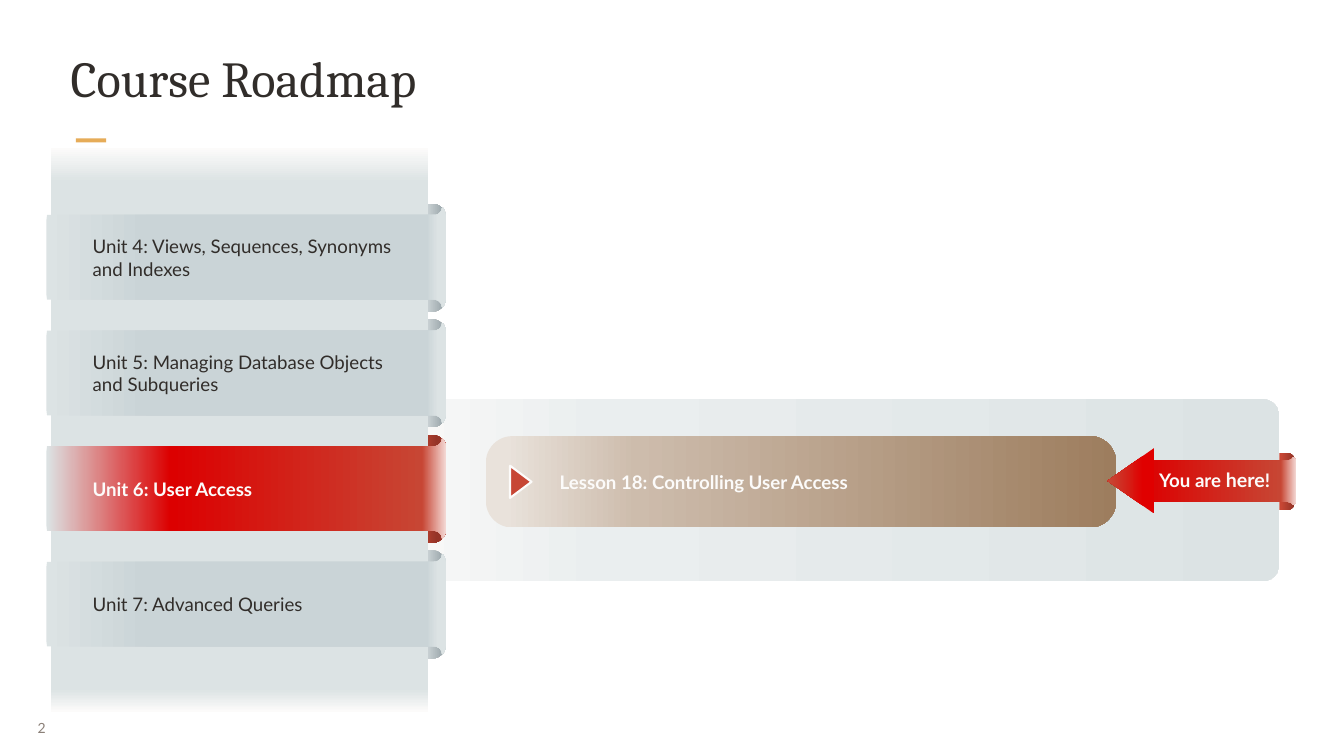
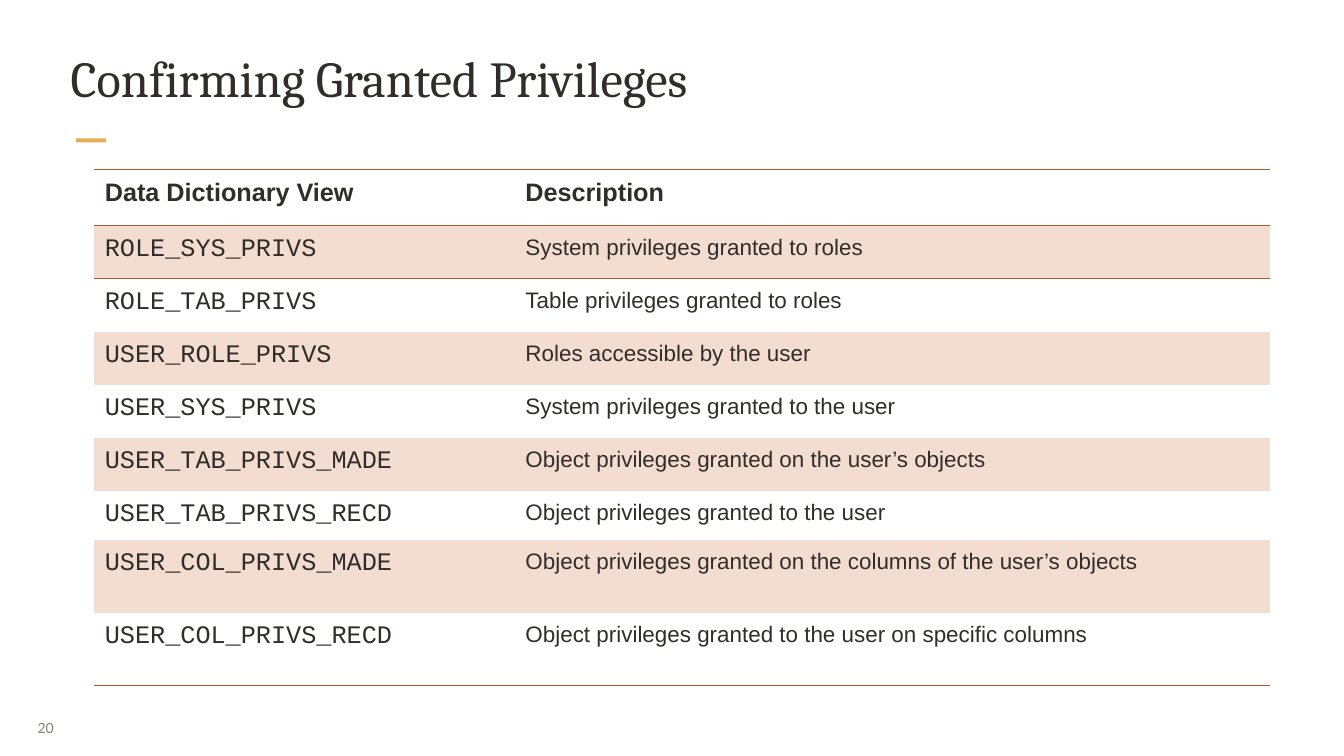
from dataclasses import dataclass
from typing import NamedTuple, Optional, Union

from pptx import Presentation
from pptx.dml.color import RGBColor
from pptx.enum.shapes import MSO_SHAPE
from pptx.enum.text import MSO_ANCHOR, PP_ALIGN
from pptx.oxml import parse_xml
from pptx.oxml.ns import nsdecls, qn
from pptx.util import Inches, Pt

WIDE, HIGH = Inches(20), Inches(11.25)
COL, ROW = WIDE / 200, HIGH / 112.5

HUES = {
    "ink": "312D2A", "page": "FFFFFF", "pale": "FCFBFA", "gold": "E6AC58",
    "dim": "8B8078", "mist": "DCE3E4", "haze": "EAEEEF", "steel": "CAD4D7",
    "silver": "DEE4E5", "slate": "96A2A7", "brick": "C74634", "maroon": "953427",
    "red": "DC0000", "bright": "E00000", "blush": "F4DAD6", "cream": "E9E2DB",
    "tan": "CDBCAC", "brown": "9D7D5E", "rust": "AE562C", "peach": "F3DCD0",
}
PLAIN = "{2D5ABB26-0587-4C30-8999-92F81FD0307C}"


class Box(NamedTuple):
    x: float
    y: float
    w: float
    h: float

    def place(self) -> tuple:
        return (round(self.x * COL), round(self.y * ROW),
                round(self.w * COL), round(self.h * ROW))


class Fade(NamedTuple):
    stops: tuple
    angle: int = 0


class Run(NamedTuple):
    text: str
    size: float = 20
    hue: str = "ink"
    bold: bool = False
    face: str = "Lato"


@dataclass
class Unit:
    label: str
    live: bool = False


@dataclass
class View:
    name: str
    about: str
    high: float = 7.9


Paint = Union[str, Fade]

UNITS = [
    Unit("Unit 4: Views, Sequences, Synonyms and Indexes"),
    Unit("Unit 5: Managing Database Objects and Subqueries"),
    Unit("Unit 6: User Access", True),
    Unit("Unit 7: Advanced Queries"),
]
VIEWS = [
    View("ROLE_SYS_PRIVS", "System privileges granted to roles"),
    View("ROLE_TAB_PRIVS", "Table privileges granted to roles"),
    View("USER_ROLE_PRIVS", "Roles accessible by the user"),
    View("USER_SYS_PRIVS", "System privileges granted to the user"),
    View("USER_TAB_PRIVS_MADE", "Object privileges granted on the user’s objects"),
    View("USER_TAB_PRIVS_RECD", "Object privileges granted to the user", 7.3),
    View("USER_COL_PRIVS_MADE",
         "Object privileges granted on the columns of the user’s objects", 10.8),
    View("USER_COL_PRIVS_RECD",
         "Object privileges granted to the user on specific columns", 10.8),
]

CALM = Fade(((0, "mist"), (25, "steel"), (95, "steel"), (98, "mist")))
LIVE = Fade(((0, "mist"), (31, "red"), (94, "brick"), (100, "blush")))
ROLL = Fade(((77, "silver"), (99, "slate")))
HOT = Fade(((73, "brick"), (92, "maroon")))
TAG = Fade(((0, "red"), (90, "brick"), (100, "blush")))
FOLD = Fade(((11, "brick"), (92, "maroon")))
HEAD = Fade(((0, "bright"), (23, "bright"), (96, "brick")), 270)
RAIL = Fade(((0, "pale"), (6, "mist"), (96, "mist"), (100, "pale")), 90)
PANEL = Fade(((0, "pale"), (26, "haze"), (100, "mist")))
BAR = Fade(((3, "cream"), (24, "tan"), (100, "brown")))


def tint(name: str) -> RGBColor:
    return RGBColor.from_string(HUES[name])


def coat(shape, paint: Paint, edge: Optional[str] = None) -> None:
    shape.shadow.inherit = False
    shape.fill.solid()
    if isinstance(paint, Fade):
        stops = "".join(
            f'<a:gs pos="{pos * 1000}"><a:srgbClr val="{HUES[hue]}"/></a:gs>'
            for pos, hue in paint.stops)
        fade = parse_xml(
            f'<a:gradFill {nsdecls("a")} rotWithShape="1"><a:gsLst>{stops}</a:gsLst>'
            f'<a:lin ang="{paint.angle * 60000}" scaled="0"/></a:gradFill>')
        props = shape.element.spPr
        props.replace(props.find(qn("a:solidFill")), fade)
    else:
        shape.fill.fore_color.rgb = tint(paint)
    if edge:
        shape.line.color.rgb = tint(edge)
        shape.line.width = Pt(2.25)
    else:
        shape.line.fill.background()


def draw(slide, kind, box: Box, paint: Paint, bend: Optional[float] = None,
         turn: float = 0, edge: Optional[str] = None) -> None:
    shape = slide.shapes.add_shape(kind, *box.place())
    if bend is not None:
        shape.adjustments[0] = bend
    shape.rotation = turn
    coat(shape, paint, edge)


def fill_in(para, runs: list[Run]) -> None:
    for item in runs:
        run = para.add_run()
        run.text = item.text
        font = run.font
        font.name, font.size, font.bold = item.face, Pt(item.size), item.bold
        font.color.rgb = tint(item.hue)


def write(slide, box: Box, runs: list[Run], anchor=MSO_ANCHOR.MIDDLE,
          align=PP_ALIGN.LEFT, pad: tuple = (0.1, 0.05)) -> None:
    frame = slide.shapes.add_textbox(*box.place()).text_frame
    frame.word_wrap = True
    frame.vertical_anchor = anchor
    frame.margin_left = frame.margin_right = Inches(pad[0])
    frame.margin_top = frame.margin_bottom = Inches(pad[1])
    frame.paragraphs[0].alignment = align
    fill_in(frame.paragraphs[0], runs)


def curve(start: tuple, pull: tuple, end: tuple, steps: int = 8) -> list[tuple]:
    spots = []
    for n in range(steps + 1):
        t = n / steps
        spots.append(tuple((1 - t) ** 2 * a + 2 * t * (1 - t) * b + t * t * c
                           for a, b, c in zip(start, pull, end)))
    return spots


def trace(slide, half: list[tuple], box: Box, paint: Paint) -> None:
    lower = [(x, box.h - y) for x, y in reversed(half)]
    spots = [(round((box.x + x) * COL), round((box.y + y) * ROW))
             for x, y in half + lower]
    pen = slide.shapes.build_freeform(*spots[0], scale=1.0)
    pen.add_line_segments(spots[1:], close=True)
    coat(pen.convert_to_shape(), paint)


def ribbon(slide, box: Box, paint: Paint, across: float = 1, down: float = 1) -> None:
    def spot(x: float, y: float) -> tuple:
        return box.w - x * across, y * down

    half = [(0, 2 * down), (0.1 * across, 1.2 * down)]
    half += curve(spot(1.8, 1.2), spot(1.1, 1.2), spot(0.7, 0.5))
    half += curve(spot(0.6, 0), spot(0, 0.6), spot(0, 2))
    trace(slide, half, box, paint)


def fold(slide, box: Box, paint: Paint, bend: float) -> None:
    half = [(0, 0)] + curve((box.w - bend, 0), (box.w, 0), (box.w, bend))
    trace(slide, half, box, paint)


def start(deck, title: str, number: int):
    slide = deck.slides.add_slide(deck.slide_layouts[6])
    slide.background.fill.solid()
    slide.background.fill.fore_color.rgb = tint("page")
    draw(slide, MSO_SHAPE.RECTANGLE, Box(11.3, 20.6, 4.5, 0.6), "gold")
    write(slide, Box(4.3, 105.4, 6.5, 5.8), [Run(str(number), 15, "dim")],
          pad=(0.13, 0.07))
    write(slide, Box(10.2, 6.7, 179.6, 12.8), [Run(title, 54, face="Cambria")],
          MSO_ANCHOR.TOP, pad=(0.03, 0.03))
    return slide


def roadmap(deck) -> None:
    slide = start(deck, "Course Roadmap", 2)
    draw(slide, MSO_SHAPE.ROUNDED_RECTANGLE, Box(54.2, 59.4, 136.2, 27.1), PANEL, 0.093)
    draw(slide, MSO_SHAPE.ROUNDED_RECTANGLE, Box(72.3, 64.9, 93.8, 13.6), BAR, 0.289)
    write(slide, Box(82.3, 69.5, 73.7, 4.4),
          [Run("Lesson 18: Controlling User Access", hue="pale", bold=True)])
    draw(slide, MSO_SHAPE.ISOSCELES_TRIANGLE, Box(75.1, 70.1, 4.8, 3.2), "brick",
         turn=90, edge="pale")

    tops = [30.8 + 17.2 * n for n in range(len(UNITS))]
    for top, unit in zip(tops, UNITS):
        draw(slide, MSO_SHAPE.ROUNDED_RECTANGLE, Box(50.5, top - 0.5, 15.8, 16.1),
             HOT if unit.live else ROLL, 0.126)
    draw(slide, MSO_SHAPE.RECTANGLE, Box(7.6, 22, 56.1, 83.9), RAIL)
    for top, unit in zip(tops, UNITS):
        ribbon(slide, Box(6.9, top, 59.5, 15), LIVE if unit.live else CALM)
        write(slide, Box(12.8, top, 48.5, 15),
              [Run(unit.label, hue="pale" if unit.live else "ink", bold=unit.live)])

    fold(slide, Box(190.4, 67.4, 2.3, 8.5), FOLD, 1.4)
    ribbon(slide, Box(169.9, 68, 23, 7.2), TAG, 0.8, 0.43)
    draw(slide, MSO_SHAPE.ISOSCELES_TRIANGLE, Box(163.4, 68.1, 9.7, 6.9), HEAD, turn=270)
    words = [("You are ", 20), ("here", 21), ("!", 20)]
    write(slide, Box(169.9, 69.1, 21.7, 4.5),
          [Run(text, size, "pale", True) for text, size in words],
          MSO_ANCHOR.TOP, PP_ALIGN.CENTER)


def rule(cell, sides: str) -> None:
    props = cell._tc.get_or_add_tcPr()
    for n, side in enumerate(sides):
        props.insert(n, parse_xml(
            f'<a:ln{side} {nsdecls("a")} w="12700"><a:solidFill>'
            f'<a:srgbClr val="{HUES["rust"]}"/></a:solidFill></a:ln{side}>'))


def set_cell(cell, run: Run, shade: bool, sides: str) -> None:
    cell.margin_left = cell.margin_right = Inches(0.16)
    cell.margin_top = cell.margin_bottom = Inches(0.12)
    para = cell.text_frame.paragraphs[0]
    para.line_spacing = 1.05
    fill_in(para, [run])
    if shade:
        cell.fill.solid()
        cell.fill.fore_color.rgb = tint("peach")
    else:
        cell.fill.background()
    rule(cell, sides)


def grants(deck) -> None:
    slide = start(deck, "Confirming Granted Privileges", 20)
    lines = [(8.4, [Run(text, 27, bold=True, face="Arial")
                    for text in ("Data Dictionary View", "Description")])]
    lines += [(view.high, [Run(view.name, 27, face="Courier New"),
                           Run(view.about, 24, face="Arial")]) for view in VIEWS]
    box = Box(14, 25.2, 175, sum(high for high, _ in lines))
    holder = slide.shapes.add_table(len(lines), 2, *box.place())
    grid = holder.table
    grid.first_row = grid.horz_banding = False
    next(holder.element.iter(qn("a:tableStyleId"))).text = PLAIN
    for column, wide in zip(grid.columns, (62.6, 112.4)):
        column.width = round(wide * COL)
    for n, (high, runs) in enumerate(lines):
        grid.rows[n].height = round(high * ROW)
        sides = {0: "TB", 1: "T", len(lines) - 1: "B"}.get(n, "")
        for m, run in enumerate(runs):
            set_cell(grid.cell(n, m), run, n % 2 == 1, sides)


def main() -> None:
    deck = Presentation()
    deck.slide_width, deck.slide_height = WIDE, HIGH
    roadmap(deck)
    grants(deck)
    deck.save("out.pptx")


if __name__ == "__main__":
    main()
